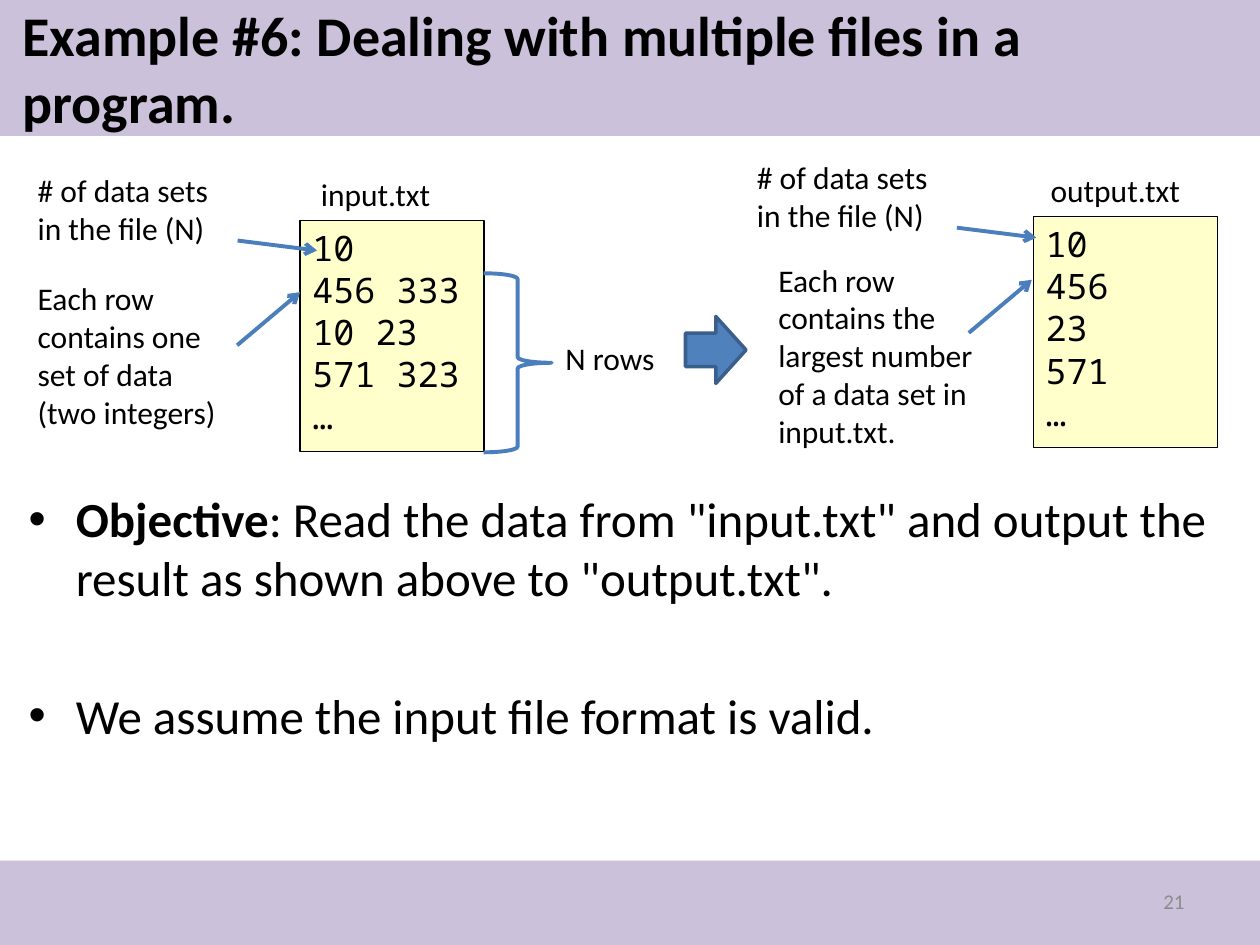
import pptx
import pptx.dml.color
import pptx.enum.shapes
import pptx.enum.text
import pptx.oxml.ns
import pptx.util
from lxml import etree

Cm = pptx.util.Cm
Pt = pptx.util.Pt
RGBColor = pptx.dml.color.RGBColor
MSO_SHAPE = pptx.enum.shapes.MSO_SHAPE
MSO_ANCHOR = pptx.enum.text.MSO_ANCHOR
PP_ALIGN = pptx.enum.text.PP_ALIGN
qn = pptx.oxml.ns.qn

BLACK = RGBColor(0x00, 0x00, 0x00)
GRAY = RGBColor(0x8C, 0x8C, 0x8C)
LILAC = RGBColor(0xCC, 0xC1, 0xDA)
CREAM = RGBColor(0xFF, 0xFF, 0xCC)
BLUE = RGBColor(0x4F, 0x81, 0xBD)
LINE_BLUE = RGBColor(0x4B, 0x7E, 0xBC)
DARK_BLUE = RGBColor(0x3A, 0x5F, 0x8C)

BODY_FONT = "Calibri"
CODE_FONT = "Noto Sans Mono"


def write(paragraph, text, size=18, color=BLACK, font=BODY_FONT, bold=False):
    run = paragraph.add_run()
    run.text = text
    run.font.name = font
    run.font.size = Pt(size)
    run.font.bold = bold
    run.font.color.rgb = color


def add_bullet(paragraph, indent):
    properties = paragraph._p.get_or_add_pPr()
    properties.set("marL", str(indent))
    properties.set("indent", str(-indent))
    font = etree.SubElement(properties, qn("a:buFont"))
    font.set("typeface", "Arial")
    etree.SubElement(properties, qn("a:buChar")).set("char", "•")


class SlideBuilder:
    """Holds the current slide and its shared style."""

    line_width = 2.25

    def __init__(self, slide):
        self.slide = slide
        self.shapes = slide.shapes

    def title(self, text, left, top, width, height):
        title = self.shapes.title
        title.left, title.top = Cm(left), Cm(top)
        title.width, title.height = Cm(width), Cm(height)
        frame = title.text_frame
        frame.word_wrap = True
        frame.auto_size = pptx.enum.text.MSO_AUTO_SIZE.NONE
        frame.vertical_anchor = MSO_ANCHOR.MIDDLE
        frame.paragraphs[0].alignment = PP_ALIGN.LEFT
        write(frame.paragraphs[0], text, size=32, bold=True)
        # The placeholder comes first in the tree; bring it above the band.
        self.shapes._spTree.append(title._element)

    def shape(self, kind, left, top, width, height, fill=None, line=None, line_width=line_width):
        shape = self.shapes.add_shape(kind, Cm(left), Cm(top), Cm(width), Cm(height))
        shape.shadow.inherit = False
        if fill is None:
            shape.fill.background()
        else:
            shape.fill.solid()
            shape.fill.fore_color.rgb = fill
        if line is None:
            shape.line.fill.background()
        else:
            shape.line.color.rgb = line
            shape.line.width = Pt(line_width)
        return shape

    def text(self, text, left, top, width, height, wrap=True, align=PP_ALIGN.LEFT,
             anchor=MSO_ANCHOR.TOP, **style):
        box = self.shapes.add_textbox(Cm(left), Cm(top), Cm(width), Cm(height))
        frame = box.text_frame
        frame.word_wrap = wrap
        frame.vertical_anchor = anchor
        frame.paragraphs[0].alignment = align
        if text:
            write(frame.paragraphs[0], text, **style)
        return frame

    def bullets(self, items, left, top, width, height, gap):
        """Each item is a list of (text, bold) pieces."""
        frame = self.text("", left, top, width, height)
        for index, pieces in enumerate(items):
            paragraph = frame.add_paragraph() if index else frame.paragraphs[0]
            if index:
                paragraph.space_before = Pt(gap)
            add_bullet(paragraph, Cm(0.95))
            for text, bold in pieces:
                write(paragraph, text, size=28, bold=bold)

    def file_box(self, lines, left, top):
        box = self.shape(MSO_SHAPE.RECTANGLE, left, top, 3.71, 4.65,
                         fill=CREAM, line=BLACK, line_width=0.75)
        frame = box.text_frame
        frame.word_wrap = True
        frame.vertical_anchor = MSO_ANCHOR.TOP
        for index, line in enumerate(lines):
            paragraph = frame.add_paragraph() if index else frame.paragraphs[0]
            paragraph.alignment = PP_ALIGN.LEFT
            paragraph.line_spacing = Pt(24)
            write(paragraph, line, size=20, font=CODE_FONT)

    def arrow(self, x1, y1, x2, y2):
        connector = self.shapes.add_connector(
            pptx.enum.shapes.MSO_CONNECTOR.STRAIGHT, Cm(x1), Cm(y1), Cm(x2), Cm(y2))
        connector.line.color.rgb = LINE_BLUE
        connector.line.width = Pt(self.line_width)
        etree.SubElement(connector.line._get_or_add_ln(), qn("a:tailEnd")).set("type", "arrow")
        etree.SubElement(connector._element.spPr, qn("a:effectLst"))


def main():
    presentation = pptx.Presentation()
    presentation.slide_width = Cm(25.4)
    presentation.slide_height = Cm(19.05)
    builder = SlideBuilder(presentation.slides.add_slide(presentation.slide_layouts[5]))

    for top, height in ((0, 2.74), (17.35, 1.7)):
        builder.shape(MSO_SHAPE.RECTANGLE, 0, top, 25.4, height, fill=LILAC)
    builder.title("Example #6: Dealing with multiple files in a program.", 0.2, 0.2, 25, 2.34)
    builder.bullets(
        [
            [("Objective", True),
             (': Read the data from "input.txt" and output the result '
              'as shown above to "output.txt".', False)],
            [("We assume the input file format is valid.", False)],
        ],
        0.33, 9.73, 24.82, 7.62, gap=45)
    builder.text("21", 18.21, 17.65, 5.92, 1.02, align=PP_ALIGN.RIGHT,
                 anchor=MSO_ANCHOR.MIDDLE, size=12, color=GRAY)

    # Input file
    builder.file_box(["10", "456 333", "10 23", "571 323", "…"], 6.05, 4.45)
    builder.text("input.txt", 6.22, 3.4, 2.74, 1.02, wrap=False)
    builder.text("Each row contains one set of data (two integers)", 0.51, 5.51, 4.29, 3.33)
    builder.arrow(4.78, 6.96, 6.05, 5.89)
    builder.shape(MSO_SHAPE.RIGHT_BRACE, 9.75, 5.51, 1.37, 3.61, line=LINE_BLUE)
    builder.text("N rows", 11.15, 6.71, 2.67, 1.02)

    builder.shape(MSO_SHAPE.RIGHT_ARROW, 13.82, 6.38, 1.22, 1.35,
                  fill=BLUE, line=DARK_BLUE, line_width=2)

    # Output file
    builder.file_box(["10", "456", "23", "571", "…"], 20.83, 4.37)
    builder.text("output.txt", 20.93, 3.33, 3.15, 1.02, wrap=False)
    builder.text("Each row contains the largest number of a data set in input.txt.",
                 15.44, 5.13, 4.62, 4.11)
    builder.arrow(19.53, 6.71, 20.8, 5.64)

    # The count of data sets is pointed out the same way in both files.
    for left, top in ((0.51, 3.33), (15.01, 3.07)):
        builder.text("# of data sets in the file (N)", left, top, 3.96, 1.8)
        builder.arrow(left + 4.28, top + 1.52, left + 5.88, top + 1.72)

    presentation.save("out.pptx")


if __name__ == "__main__":
    main()
